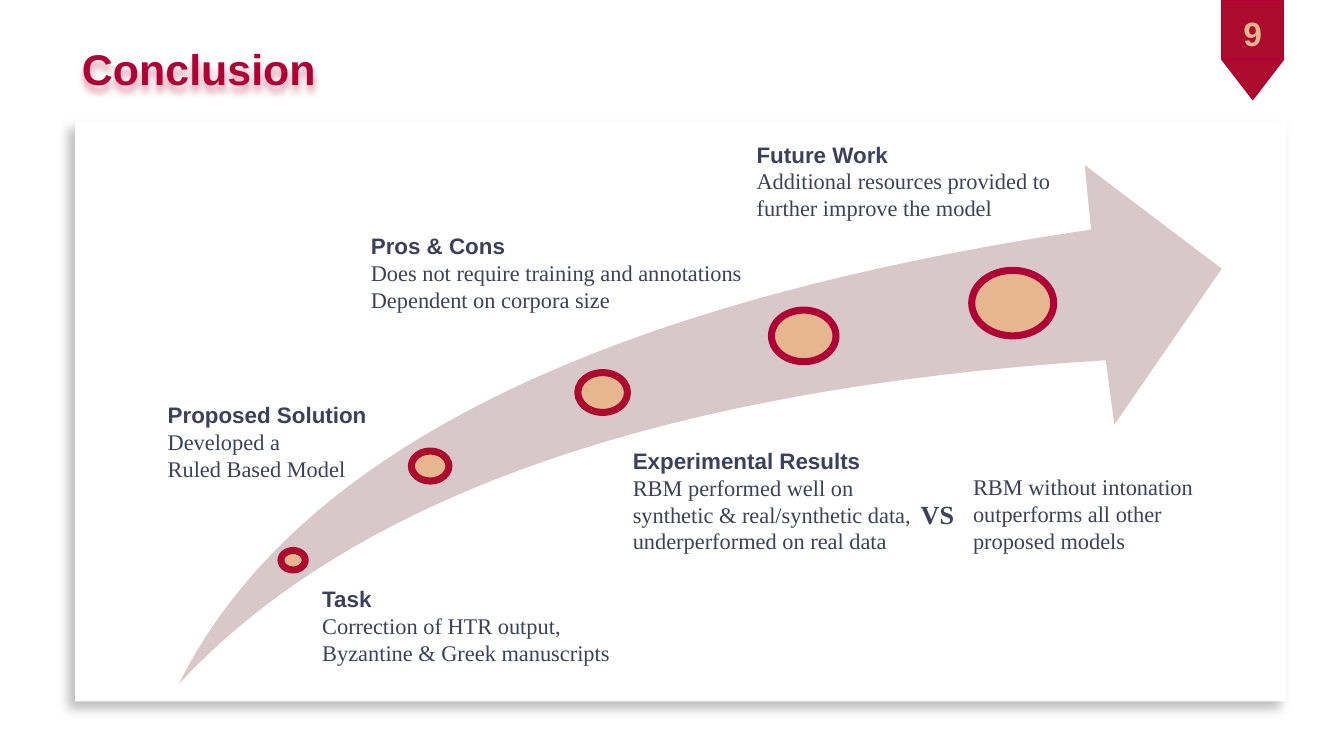
import dataclasses

import lxml.etree
import pptx
import pptx.dml.color
import pptx.enum.shapes
import pptx.enum.text
import pptx.oxml.ns
import pptx.util

Cm = pptx.util.Cm
Pt = pptx.util.Pt
KIND = pptx.enum.shapes.MSO_SHAPE


@dataclasses.dataclass(frozen=True)
class Theme:
    white: str = "FFFFFF"
    black: str = "000000"
    wine: str = "B00136"
    red: str = "AD0B2D"
    sand: str = "E5B68F"
    rose: str = "B08C8D"
    ink: str = "3D405B"
    sans: str = "Arial"
    serif: str = "Times New Roman"
    title: float = 23
    page: float = 18
    versus: float = 14
    body: float = 12
    ring: float = 3.78
    edge: float = 0.75
    inset: float = 0.25


THEME = Theme()

SIZE = (25.4, 14.29)
CARD = (1.42, 2.31, 22.89, 10.95)
TITLE = ("Conclusion", (1.3, 0.56, 20.47, 1.57))
PAGE = ("9", (22.89, 0, 1.57, 1.27))
BADGE = [
    (KIND.RECTANGLE, (23.09, 0, 1.17, 1.12), 0),
    (KIND.ISOSCELES_TRIANGLE, (23.09, 1.12, 1.17, 0.76), 180),
]
UPPER = [(3.38, 12.93), (5.56, 8.56), (11.33, 5.72), (20.62, 4.34)]
HEAD = [(20.5, 3.12), (23.09, 5.08), (21.06, 8.03)]
LOWER = [(20.9, 6.81), (12.5, 7.34), (6.65, 9.4), (3.38, 12.93)]
DOTS = [
    (5.54, 10.59, 0.46, THEME.red),
    (8.13, 8.81, 0.71, THEME.red),
    (11.39, 7.42, 0.94, THEME.red),
    (15.19, 6.35, 1.22, THEME.wine),
    (19.14, 5.73, 1.55, THEME.wine),
]
RATIO = 0.8
STEPS = 40
NOTES = [
    ("Task", ["Correction of HTR output,", "Byzantine & Greek manuscripts"],
     (5.84, 10.82, 6.81, 2.06)),
    ("Proposed Solution", ["Developed a", "Ruled Based Model"],
     (2.92, 7.34, 4.7, 2.06)),
    ("Experimental Results",
     ["RBM performed well on synthetic & real/synthetic data, "
      "underperformed on real data"],
     (11.71, 8.2, 6.3, 2.57)),
    (None, ["RBM without intonation outperforms all other", "proposed models"],
     (18.14, 8.69, 5.28, 2.08)),
    ("Pros & Cons",
     ["Does not require training and annotations", "Dependent on corpora size"],
     (6.76, 4.14, 7.95, 2.06)),
    ("Future Work",
     ["Additional resources provided to further improve the model"],
     (14.05, 2.41, 6.86, 2.57)),
]
VERSUS = ("VS", (17.15, 9.17, 1.24, 1.12))


def color(code):
    return pptx.dml.color.RGBColor.from_string(code)


def node(parent, tag, **attrs):
    return lxml.etree.SubElement(parent, pptx.oxml.ns.qn(tag), attrs)


def paint(shape, fill, line=None, width=0):
    shape.shadow.inherit = False
    shape.fill.solid()
    shape.fill.fore_color.rgb = color(fill)
    if line:
        shape.line.color.rgb = color(line)
        shape.line.width = Pt(width)
    else:
        shape.line.fill.background()


def shade(shape, code, alpha, blur, gap, angle):
    shape.shadow.inherit = False
    props = shape._element.spPr
    effect = props.find(pptx.oxml.ns.qn("a:effectLst"))
    outer = node(effect, "a:outerShdw", blurRad=str(Pt(blur)),
                 dist=str(Pt(gap)), dir=str(angle * 60000),
                 algn="bl", rotWithShape="0")
    tint = node(outer, "a:srgbClr", val=code)
    node(tint, "a:alpha", val=str(alpha * 1000))


def write(slide, lines, box, align=None):
    shape = slide.shapes.add_textbox(*map(Cm, box))
    frame = shape.text_frame
    frame.word_wrap = True
    frame.margin_left = frame.margin_right = Cm(THEME.inset)
    frame.margin_top = frame.margin_bottom = Cm(THEME.inset)
    frame.text = "\n".join(line[0] for line in lines)
    for para, (_, face, size, tone, bold) in zip(frame.paragraphs, lines):
        para.alignment = align
        font = para.runs[0].font
        font.name, font.size, font.bold = face, Pt(size), bold
        font.color.rgb = color(tone)
    return shape


def curve(points):
    for step in range(STEPS + 1):
        t = step / STEPS
        parts = ((1 - t) ** 3, 3 * t * (1 - t) ** 2,
                 3 * t ** 2 * (1 - t), t ** 3)
        yield tuple(sum(part * value for part, value in zip(parts, axis))
                    for axis in zip(*points))


def draw_path(slide):
    group = slide.shapes.add_group_shape()
    points = [(Cm(x), Cm(y))
              for x, y in [*curve(UPPER), *HEAD, *curve(LOWER)]]
    pen = group.shapes.build_freeform(*points[0])
    pen.add_line_segments(points[1:-1], close=True)
    arrow = pen.convert_to_shape()
    paint(arrow, THEME.rose)
    tint = arrow._element.spPr.find(".//" + pptx.oxml.ns.qn("a:srgbClr"))
    node(tint, "a:alpha", val="47000")
    for x, y, wide, line in DOTS:
        high = wide * RATIO
        box = (x - wide / 2, y - high / 2, wide, high)
        dot = group.shapes.add_shape(KIND.OVAL, *map(Cm, box))
        paint(dot, THEME.sand, line, THEME.ring)


def main():
    deck = pptx.Presentation()
    deck.slide_width, deck.slide_height = map(Cm, SIZE)
    slide = deck.slides.add_slide(deck.slide_layouts[6])

    card = slide.shapes.add_shape(KIND.RECTANGLE, *map(Cm, CARD))
    paint(card, THEME.white)
    shade(card, THEME.black, 26, 5.6, 5.2, 131)

    text, box = TITLE
    title = write(
        slide, [(text, THEME.sans, THEME.title, THEME.wine, True)], box)
    shade(title, THEME.wine, 40, 4, 3, 90)

    for kind, box, turn in BADGE:
        part = slide.shapes.add_shape(kind, *map(Cm, box))
        part.rotation = turn
        paint(part, THEME.red, THEME.wine, THEME.edge)
    text, box = PAGE
    write(slide, [(text, THEME.sans, THEME.page, THEME.sand, True)], box,
          pptx.enum.text.PP_ALIGN.CENTER)

    draw_path(slide)

    for head, body, box in NOTES:
        lines = [(text, THEME.serif, THEME.body, THEME.ink, False)
                 for text in body]
        if head:
            lines.insert(0, (head, THEME.sans, THEME.body, THEME.ink, True))
        write(slide, lines, box)
    text, box = VERSUS
    write(slide, [(text, THEME.serif, THEME.versus, THEME.ink, True)], box)

    deck.save("out.pptx")


if __name__ == "__main__":
    main()
